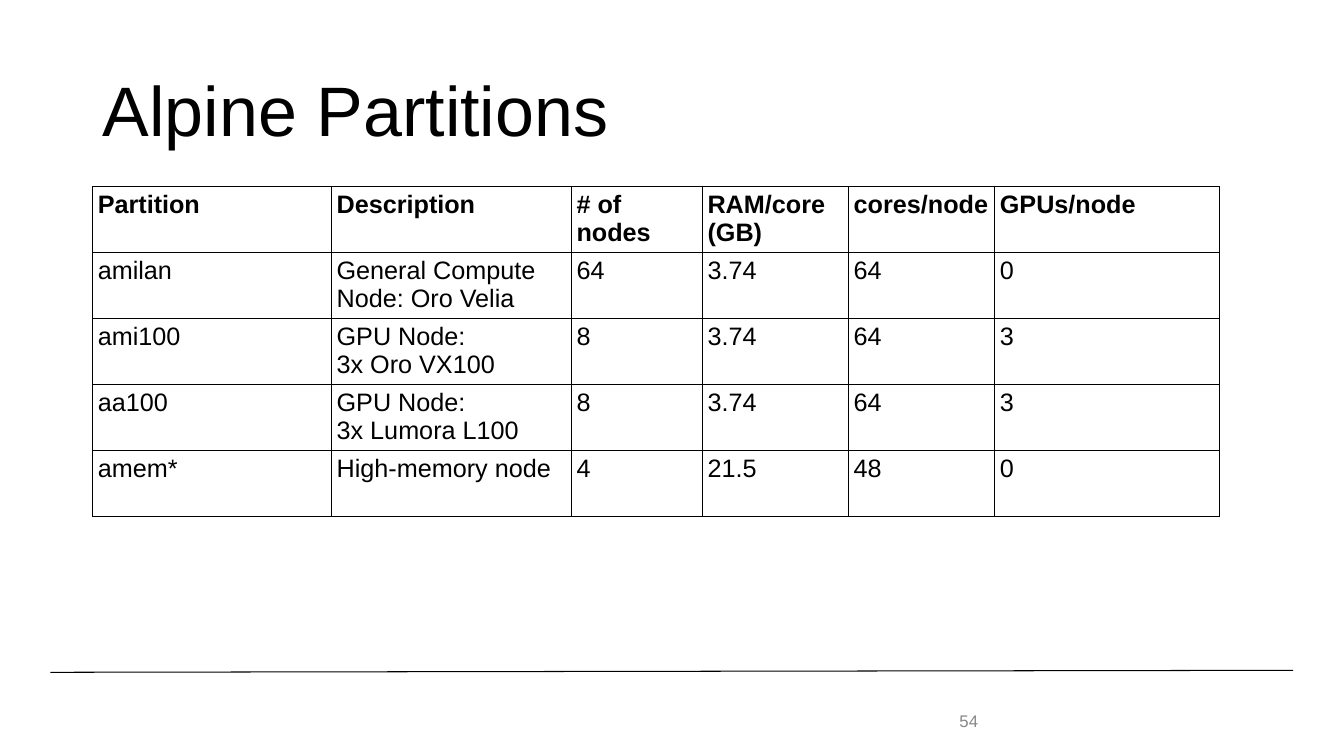
from dataclasses import dataclass
from typing import Any

from lxml.etree import SubElement
from pptx import Presentation
from pptx.dml.color import RGBColor
from pptx.enum.shapes import MSO_CONNECTOR as Connector
from pptx.enum.text import MSO_ANCHOR as Anchor, MSO_AUTO_SIZE as AutoSize, PP_ALIGN as Align
from pptx.oxml.ns import qn
from pptx.util import Pt

BLACK = "000000"
GREY = "888888"
BORDER_WIDTH = 0.75
ROW_HEIGHT = 47.16
COLUMN_WIDTHS = (170.64, 171.36, 93.6, 104.4, 104.4, 160.56)
HEADINGS = ("Partition", "Description", "# of nodes", "RAM/core (GB)", "cores/node", "GPUs/node")

FRAME_FORMAT = {
    "word_wrap": True,
    "auto_size": AutoSize.NONE,
    "vertical_anchor": Anchor.MIDDLE,
    "margin_left": Pt(7.2),
    "margin_right": Pt(7.2),
    "margin_top": Pt(3.6),
    "margin_bottom": Pt(3.6),
}
CELL_FORMAT = {
    "vertical_anchor": Anchor.TOP,
    "margin_left": Pt(3.6),
    "margin_right": Pt(3.6),
    "margin_top": Pt(2.8),
    "margin_bottom": Pt(2.8),
}


@dataclass(frozen=True)
class Partition:
    name: str
    description: str
    nodes: str
    ram_per_core: str
    cores_per_node: str
    gpus_per_node: str

    def values(self) -> tuple[str, ...]:
        return (self.name, self.description, self.nodes,
                self.ram_per_core, self.cores_per_node, self.gpus_per_node)


@dataclass(frozen=True)
class TextStyle:
    size: float
    color: str = BLACK
    bold: bool = False
    line_spacing: float = 1.0


PARTITIONS = (
    Partition("amilan", "General Compute Node: Oro Velia", "64", "3.74", "64", "0"),
    Partition("ami100", "GPU Node:\n3x Oro VX100", "8", "3.74", "64", "3"),
    Partition("aa100", "GPU Node:\n3x Lumora L100", "8", "3.74", "64", "3"),
    Partition("amem*", "High-memory node", "4", "21.5", "48", "0"),
)


def rgb(color: str) -> RGBColor:
    return RGBColor.from_string(color)


def apply(target: Any, values: dict[str, Any]) -> None:
    for attribute, value in values.items():
        setattr(target, attribute, value)


def write(frame: Any, text: str, style: TextStyle) -> None:
    frame.text = text
    for paragraph in frame.paragraphs:
        apply(paragraph, {"alignment": Align.LEFT, "line_spacing": style.line_spacing})
        apply(paragraph.font, {"name": "Arial", "size": Pt(style.size), "bold": style.bold})
        paragraph.font.color.rgb = rgb(style.color)


def place(shape: Any, left: float, top: float, width: float, height: float) -> None:
    apply(shape, {"left": Pt(left), "top": Pt(top), "width": Pt(width), "height": Pt(height)})


def add_borders(cell: Any) -> None:
    properties = cell._tc.get_or_add_tcPr()
    for position, side in enumerate(("lnL", "lnR", "lnT", "lnB")):
        border = properties.makeelement(qn(f"a:{side}"), {"w": str(Pt(BORDER_WIDTH))})
        fill = SubElement(border, qn("a:solidFill"))
        SubElement(fill, qn("a:srgbClr"), {"val": BLACK})
        properties.insert(position, border)


def add_footer_rule(slide: Any) -> None:
    rule = slide.shapes.add_connector(Connector.STRAIGHT, Pt(36), Pt(480.24), Pt(923.76), Pt(478.8))
    rule.line.color.rgb = rgb(BLACK)
    rule.line.width = Pt(0.75)
    SubElement(rule._element.spPr, qn("a:effectLst"))


def add_partition_table(slide: Any) -> None:
    rows = (HEADINGS, *(partition.values() for partition in PARTITIONS))
    table = slide.shapes.add_table(
        len(rows), len(HEADINGS), Pt(66.24), Pt(133.2),
        Pt(sum(COLUMN_WIDTHS)), Pt(ROW_HEIGHT * len(rows)),
    ).table
    table.horz_banding = False
    for column, width in zip(table.columns, COLUMN_WIDTHS):
        column.width = Pt(width)
    for row_index, values in enumerate(rows):
        table.rows[row_index].height = Pt(ROW_HEIGHT)
        for column_index, value in enumerate(values):
            cell = table.cell(row_index, column_index)
            cell.fill.background()
            apply(cell, CELL_FORMAT)
            add_borders(cell)
            write(cell.text_frame, value, TextStyle(18, bold=row_index == 0))


def main() -> None:
    deck = Presentation()
    apply(deck, {"slide_width": Pt(960), "slide_height": Pt(540)})
    slide = deck.slides.add_slide(deck.slide_layouts[5])
    add_footer_rule(slide)

    title = slide.shapes.title
    place(title, 66.24, 28.8, 828, 104.4)
    apply(title.text_frame, FRAME_FORMAT)
    write(title.text_frame, "Alpine Partitions", TextStyle(50, line_spacing=0.9))

    page_number = slide.shapes.add_textbox(Pt(678.24), Pt(500.4), Pt(54), Pt(28.8))
    apply(page_number.text_frame, FRAME_FORMAT)
    write(page_number.text_frame, "54", TextStyle(12, GREY))

    add_partition_table(slide)
    deck.save("out.pptx")


if __name__ == "__main__":
    main()
